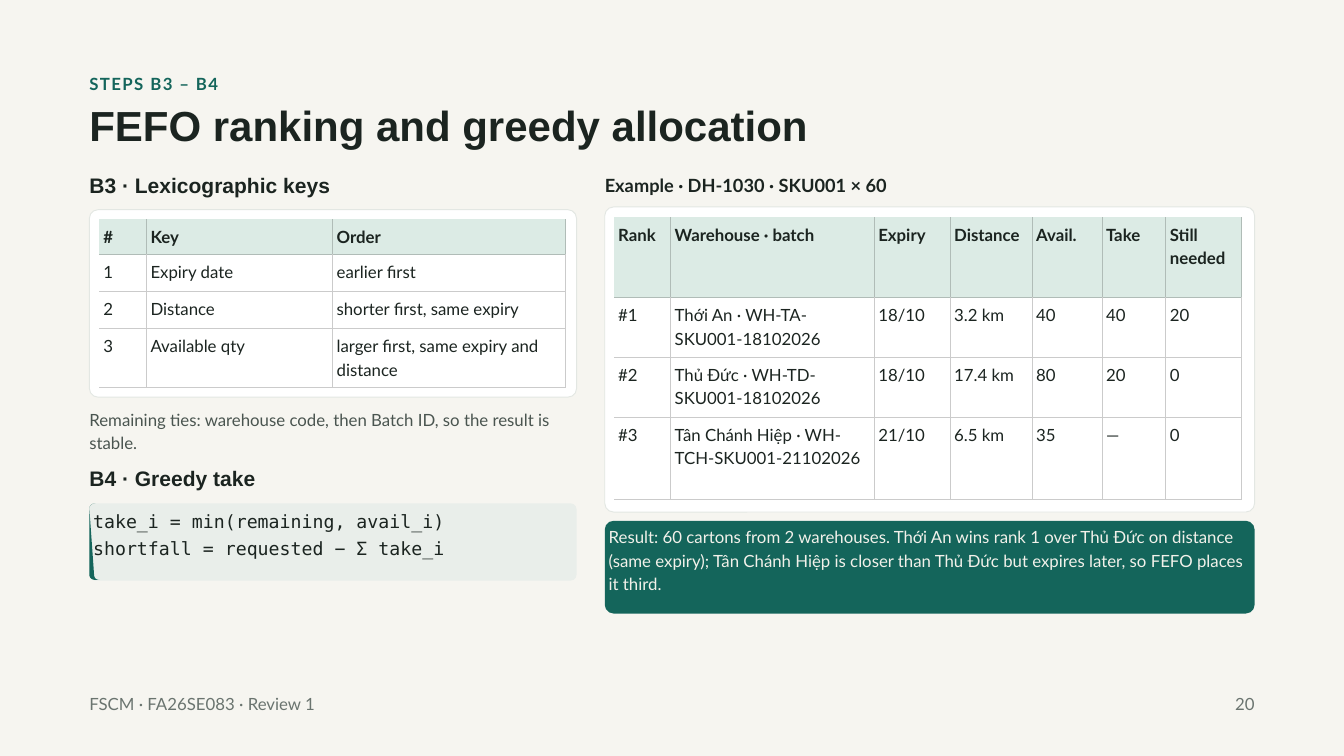
from lxml import etree
from pptx import Presentation
from pptx import util as u
from pptx.dml.color import RGBColor
from pptx.enum import shapes, text
from pptx.oxml.ns import qn

INK, GREEN, MINT, WHITE = "1B2420", "14655B", "DCEBE5", "FFFFFF"
HEAD_LINE, BODY_LINE, CARD_LINE = "B0BCB7", "CBCBCB", "E3E7E3"
LEFT, RIGHT = 1.33, 9.0          # column starts
LEFT_WIDTH, RIGHT_WIDTH = 7.25, 9.67


def colour(value):
    return RGBColor.from_string(value)


def curve(start, first, second, end, steps=8):
    """Points along a cubic curve, without its start."""
    points = []
    for step in range(1, steps + 1):
        t = step / steps
        weights = ((1 - t) ** 3, 3 * t * (1 - t) ** 2, 3 * t * t * (1 - t), t ** 3)
        points.append(tuple(
            sum(w * p[axis] for w, p in zip(weights, (start, first, second, end)))
            for axis in (0, 1)))
    return points


class SlideBuilder:
    body, heading, code = "Lato", "Arial", "DejaVu Sans Mono"

    def __init__(self, page, background):
        self.page = page
        page.background.fill.solid()
        page.background.fill.fore_color.rgb = colour(background)

    def fill_text(self, frame, lines, size=18, font=body, ink=INK, bold=False,
                  leading=25.2, spacing=0, align=text.PP_ALIGN.LEFT, insets=(0, 0)):
        frame.word_wrap = True
        frame.vertical_anchor = text.MSO_ANCHOR.TOP
        frame.margin_left = frame.margin_right = u.Inches(insets[0])
        frame.margin_top = frame.margin_bottom = u.Inches(insets[1])
        for index, line in enumerate(lines):
            para = frame.add_paragraph() if index else frame.paragraphs[0]
            span = para.add_run()
            span.text = line
            para.alignment = align
            para.line_spacing = u.Pt(leading)
            para.font.size = u.Pt(size)
            para.font.name = font
            para.font.bold = bold
            para.font.color.rgb = colour(ink)
            if spacing:
                span._r.get_or_add_rPr().set("spc", str(int(spacing * 100)))

    def label(self, left, top, width, height, line, **style):
        box = self.page.shapes.add_textbox(*map(u.Inches, (left, top, width, height)))
        self.fill_text(box.text_frame, [line], **style)

    def subheading(self, top, line):
        self.label(LEFT, top, 7.47, 0.44, line, size=22.5, font=self.heading,
                   bold=True, leading=27)

    def panel(self, left, top, width, height, fill, radius=0.13, line=None):
        box = self.page.shapes.add_shape(
            shapes.MSO_SHAPE.ROUNDED_RECTANGLE,
            *map(u.Inches, (left, top, width, height)))
        box.adjustments[0] = radius / min(width, height)
        box.shadow.inherit = False
        box.fill.solid()
        box.fill.fore_color.rgb = colour(fill)
        if line:
            box.line.color.rgb = colour(line)
            box.line.width = u.Pt(1)
        else:
            box.line.fill.background()
        return box

    def outline(self, points, fill):
        builder = self.page.shapes.build_freeform(
            *(u.Inches(v) for v in points[0]), scale=1.0)
        builder.add_line_segments(
            [(u.Inches(x), u.Inches(y)) for x, y in points[1:]], close=True)
        shape = builder.convert_to_shape()
        shape.shadow.inherit = False
        shape.fill.solid()
        shape.fill.fore_color.rgb = colour(fill)
        shape.line.fill.background()

    def borders(self, cell, edges):
        """Edges run left, right, top, bottom; None leaves an edge undrawn."""
        properties = cell._tc.get_or_add_tcPr()
        for index, (side, ink) in enumerate(zip("LRTB", edges)):
            line = etree.Element(qn(f"a:ln{side}"), w=str(u.Pt(1)) if ink else "0")
            if ink:
                fill = etree.SubElement(line, qn("a:solidFill"))
                etree.SubElement(fill, qn("a:srgbClr"), val=ink)
            else:
                etree.SubElement(line, qn("a:noFill"))
            properties.insert(index, line)

    def table(self, left, top, widths, heights, rows):
        frame = self.page.shapes.add_table(
            len(rows), len(widths),
            *map(u.Inches, (left, top, sum(widths), sum(heights))))
        grid = frame.table
        grid.first_row = grid.horz_banding = False
        for column, width in zip(grid.columns, widths):
            column.width = u.Inches(width)
        for row, height in zip(grid.rows, heights):
            row.height = u.Inches(height)
        for r, row in enumerate(rows):
            line = BODY_LINE if r else HEAD_LINE
            above = (None, HEAD_LINE)[r] if r < 2 else BODY_LINE
            for c, value in enumerate(row):
                cell = grid.cell(r, c)
                self.fill_text(cell.text_frame, [value], bold=r == 0)
                cell.vertical_anchor = text.MSO_ANCHOR.TOP
                cell.margin_left = cell.margin_right = u.Inches(0.06)
                cell.margin_top = cell.margin_bottom = u.Inches(0.06)
                if r == 0:
                    cell.fill.solid()
                    cell.fill.fore_color.rgb = colour(MINT)
                else:
                    cell.fill.background()
                self.borders(cell, (line if c else None, line, above, line))


def main():
    deck = Presentation()
    deck.slide_width, deck.slide_height = u.Inches(20), u.Inches(11.25)
    slide = SlideBuilder(deck.slides.add_slide(deck.slide_layouts[6]), "F6F5F0")

    # Title
    slide.label(LEFT, 1.04, 17.85, 0.43, "STEPS B3 – B4", ink=GREEN, bold=True,
                spacing=1.5)
    slide.label(LEFT, 1.54, 17.85, 0.71, "FEFO ranking and greedy allocation",
                size=45, font=slide.heading, bold=True, leading=49.5)

    # Ranking keys
    slide.subheading(2.56, "B3 · Lexicographic keys")
    slide.panel(LEFT, 3.12, LEFT_WIDTH, 2.79, WHITE, line=CARD_LINE)
    slide.table(1.48, 3.26, [0.7, 2.77, 3.46], [0.53, 0.55, 0.55, 0.88], [
        ("#", "Key", "Order"),
        ("1", "Expiry date", "earlier first"),
        ("2", "Distance", "shorter first, same expiry"),
        ("3", "Available qty", "larger first, same expiry and distance"),
    ])
    slide.label(LEFT, 6.04, 7.47, 0.78,
                "Remaining ties: warehouse code, then Batch ID, so the result is stable.",
                ink="4A5550")

    # Greedy formula with its tapered accent
    slide.subheading(6.93, "B4 · Greedy take")
    formula = slide.panel(LEFT, 7.49, LEFT_WIDTH, 1.15, "E9EEEA", radius=0.09)
    slide.fill_text(formula.text_frame,
                    ["take_i = min(remaining, avail_i)", "shortfall = requested − Σ take_i"],
                    size=19.5, font=slide.code, leading=29.2, insets=(0.03, 0))
    slide.outline(
        [(1.42, 8.63)]
        + curve((1.42, 8.63), (1.37, 8.63), (1.33, 8.6), (1.33, 8.55))
        + [(1.33, 7.57)]
        + curve((1.33, 7.57), (1.33, 7.52), (1.37, 7.49), (1.42, 7.49))
        + curve((1.42, 7.49), (1.37, 7.49), (1.33, 7.52), (1.33, 7.57))
        + [(1.4, 8.55)]
        + curve((1.4, 8.55), (1.4, 8.6), (1.43, 8.63), (1.48, 8.63)), GREEN)

    # Worked example
    slide.label(RIGHT, 2.54, 9.96, 0.46, "Example · DH-1030 · SKU001 × 60",
                size=19.5, bold=True, leading=27.3)
    slide.panel(RIGHT, 3.08, RIGHT_WIDTH, 4.54, WHITE, line=CARD_LINE)
    slide.table(9.14, 3.23, [0.84, 3.03, 1.13, 1.22, 1.04, 0.95, 1.13],
                [1.2, 0.89, 0.89, 1.22], [
        ("Rank", "Warehouse · batch", "Expiry", "Distance", "Avail.", "Take", "Still needed"),
        ("#1", "Thới An · WH-TA-SKU001-18102026", "18/10", "3.2 km", "40", "40", "20"),
        ("#2", "Thủ Đức · WH-TD-SKU001-18102026", "18/10", "17.4 km", "80", "20", "0"),
        ("#3", "Tân Chánh Hiệp · WH-TCH-SKU001-21102026", "21/10", "6.5 km", "35", "—", "0"),
    ])
    result = slide.panel(RIGHT, 7.75, RIGHT_WIDTH, 1.38, GREEN)
    slide.fill_text(result.text_frame, [
        "Result: 60 cartons from 2 warehouses. Thới An wins rank 1 over Thủ Đức on "
        "distance (same expiry); Tân Chánh Hiệp is closer than Thủ Đức but expires "
        "later, so FEFO places it third."], ink="F2F1EA", insets=(0.02, 0))

    # Footer
    slide.label(LEFT, 10.28, 9.66, 0.43, "FSCM · FA26SE083 · Review 1", ink="6A746F")
    slide.label(16.5, 10.28, 2.17, 0.43, "20", ink="6A746F", align=text.PP_ALIGN.RIGHT)

    deck.save("out.pptx")


if __name__ == "__main__":
    main()
